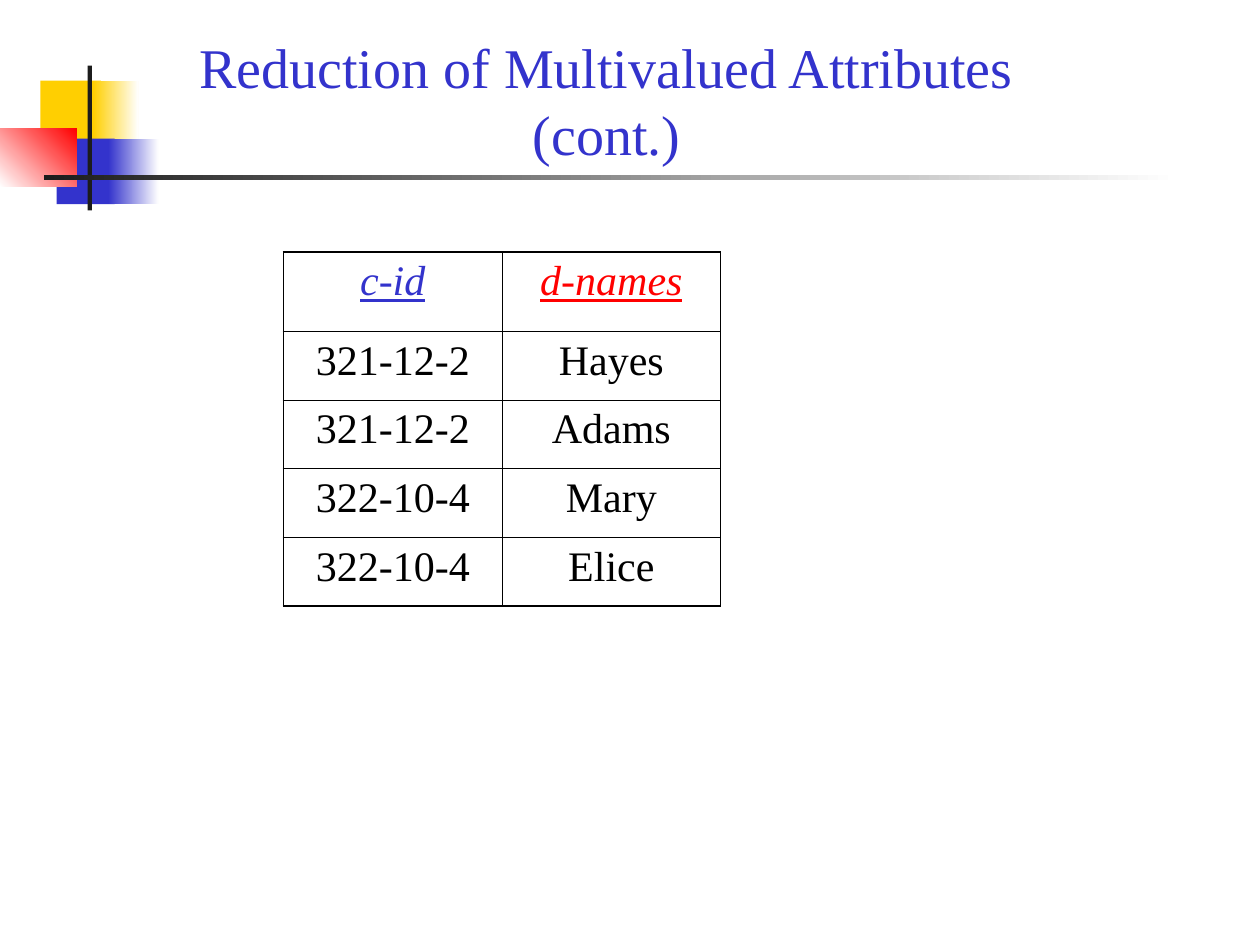
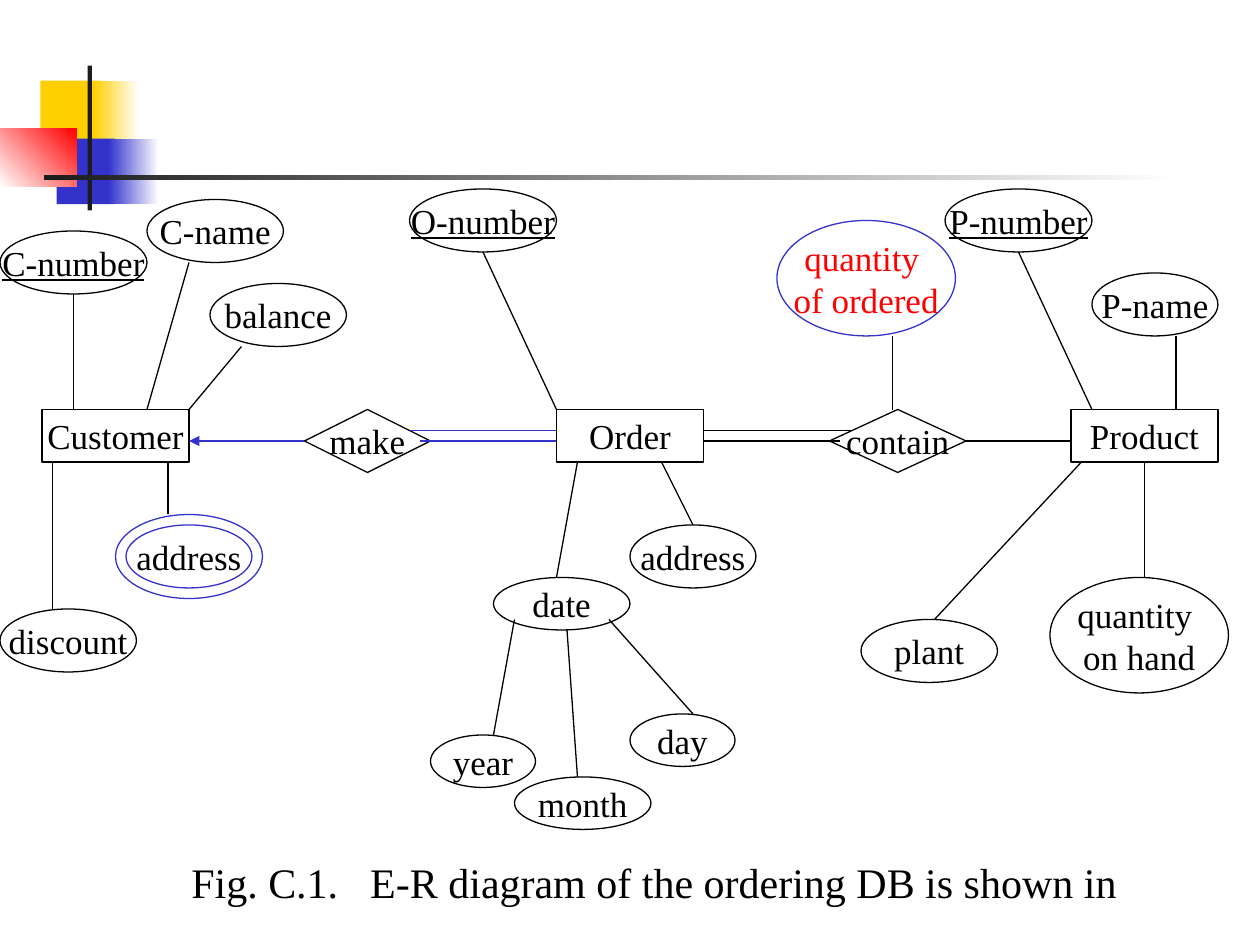
from lxml.etree import SubElement
from pptx import Presentation
from pptx.dml.color import RGBColor
from pptx.enum.shapes import MSO_CONNECTOR, MSO_SHAPE
from pptx.enum.text import MSO_ANCHOR, PP_ALIGN
from pptx.oxml.ns import qn
from pptx.util import Inches, Pt

BLUE = RGBColor(0x33, 0x33, 0xCC)
RED = RGBColor(0xFF, 0x00, 0x00)
GOLD = RGBColor(0xFF, 0xCF, 0x01)
DARK = RGBColor(0x1C, 0x1C, 0x1C)
BLACK = RGBColor(0x00, 0x00, 0x00)
WHITE = RGBColor(0xFF, 0xFF, 0xFF)
FONT = "Times New Roman"

prs = Presentation()
prs.slide_width, prs.slide_height = Inches(10), Inches(7.5)
PART = prs.slide_width // 100  # one percent of the slide width
GRID = prs.slide_width // 120  # diagram grid: 120 columns, 90 rows


def scale(unit, *spans):
    return [round(span * unit) for span in spans]


def write(frame, text, size=20, color=BLACK, align=PP_ALIGN.CENTER,
          wrap=True, italic=False, under=False, tab=None):
    """Fill a text frame, one paragraph per line of text."""
    frame.word_wrap = wrap
    frame.text = text
    for para in frame.paragraphs:
        para.alignment = align
        if tab:
            tabs = SubElement(para._p.get_or_add_pPr(), qn("a:tabLst"))
            SubElement(tabs, qn("a:tab"), pos=str(tab), algn="l")
        for run in para.runs:
            font = run.font
            font.name, font.size, font.color.rgb = FONT, Pt(size), color
            font.italic, font.underline = italic, under


# Shared band: box in percent of the width, start colour, end colour, angle
BAND = [
    ((3.2, 6.4, 4.8, 5.2), GOLD, None, 0),
    ((7.4, 6.4, 3.6, 5.2), GOLD, WHITE, 0),
    ((4.5, 11, 4.6, 5.2), BLUE, None, 0),
    ((8.6, 11, 4, 5.2), BLUE, WHITE, 0),
    ((0, 10.2, 6.1, 4.6), WHITE, RED, 45),
    ((6.95, 5.2, 0.35, 11.5), DARK, None, 0),
    ((3.5, 13.9, 90, 0.35), DARK, WHITE, 0),
]
slides = [prs.slides.add_slide(prs.slide_layouts[6]) for _ in range(2)]
for slide in slides:
    for box, start, end, angle in BAND:
        shape = slide.shapes.add_shape(MSO_SHAPE.RECTANGLE, *scale(PART, *box))
        shape.shadow.inherit = False
        shape.line.fill.background()
        if end is None:
            shape.fill.solid()
            shape.fill.fore_color.rgb = start
        else:
            shape.fill.gradient()
            shape.fill.gradient_angle = angle
            for stop, color in zip(shape.fill.gradient_stops, (start, end)):
                stop.color.rgb = color

# Slide 1: table of multivalued attributes
first, second = slides
ROWS = [
    ("c-id", "d-names"),
    ("321-12-2", "Hayes"),
    ("321-12-2", "Adams"),
    ("322-10-4", "Mary"),
    ("322-10-4", "Elice"),
]
HEAD, TALL = 6.3, 28.1
table = first.shapes.add_table(
    len(ROWS), 2, *scale(PART, 22.5, 20, 34.7, TALL)).table
table.first_row = table.horz_banding = False
last = len(ROWS) - 1
for r, names in enumerate(ROWS):
    high = HEAD if r == 0 else (TALL - HEAD) / last
    table.rows[r].height = round(high * PART)
    for c, name in enumerate(names):
        cell = table.cell(r, c)
        thick = {"L": c == 0, "R": c == 1 and r > 0,
                 "T": r == 0, "B": r == last}
        props = cell._tc.get_or_add_tcPr()
        for side, bold in thick.items():
            edge = SubElement(props, qn(f"a:ln{side}"),
                              w=str(Pt(1.08 if bold else 0.45)))
            fill = SubElement(edge, qn("a:solidFill"))
            SubElement(fill, qn("a:srgbClr"), val=str(BLACK))
        cell.fill.background()
        color = (BLUE, RED)[c] if r == 0 else BLACK
        write(cell.text_frame, name, size=24, color=color,
              italic=r == 0, under=r == 0)

title = first.shapes.add_textbox(*scale(PART, 9, 2.1, 78.3, 11.7))
write(title.text_frame, "Reduction of Multivalued Attributes (cont.)",
      size=32, color=BLUE)

# Slide 2: E-R diagram, all on the grid
BOX, RHOMB, OVAL = MSO_SHAPE.RECTANGLE, MSO_SHAPE.DIAMOND, MSO_SHAPE.OVAL
KEY = {"under": True}
NODES = [
    (BOX, "Customer", (4, 39, 14, 5), BLACK, {}),
    (BOX, "Product", (102, 39, 14, 5), BLACK, {}),
    (BOX, "Order", (53, 39, 14, 5), BLACK, {}),
    (RHOMB, "make", (29, 39, 12, 6), BLACK, {}),
    (RHOMB, "contain", (79, 39, 13, 6), BLACK, {}),
    (OVAL, "C-number", (0, 22, 14, 6), BLACK, KEY),
    (OVAL, "C-name", (14, 19, 13, 6), BLACK, {}),
    (OVAL, "discount", (0, 58, 13, 6), BLACK, {}),
    (OVAL, "balance", (20, 27, 13, 6), BLACK, {}),
    (OVAL, "address", (12, 50, 12, 6), BLUE, {}),
    (OVAL, "", (11, 49, 14, 8), BLUE, {}),
    (OVAL, "address", (60, 50, 12, 6), BLACK, {}),
    (OVAL, "O-number", (39, 18, 14, 6), BLACK, KEY),
    (OVAL, "date", (47, 55, 13, 5), BLACK, {}),
    (OVAL, "year", (41, 70, 10, 5), BLACK, {}),
    (OVAL, "month", (49, 74, 13, 5), BLACK, {}),
    (OVAL, "day", (60, 68, 10, 5), BLACK, {}),
    (OVAL, "quantity \nof ordered", (74, 21, 17, 11), BLUE, {"color": RED}),
    (OVAL, "P-number", (90, 18, 14, 6), BLACK, KEY),
    (OVAL, "P-name", (104, 26, 12, 6), BLACK, {}),
    (OVAL, "plant", (82, 59, 13, 6), BLACK, {}),
    (OVAL, "quantity \non hand", (100, 55, 17, 11), BLACK, {}),
]
for kind, text, box, color, style in NODES:
    node = second.shapes.add_shape(kind, *scale(GRID, *box))
    node.shadow.inherit = False
    node.fill.background()
    node.line.color.rgb, node.line.width = color, Pt(0.75)
    if text:
        node.text_frame.vertical_anchor = MSO_ANCHOR.MIDDLE
        write(node.text_frame, text, wrap=False, **style)

ARROW = (29, 42, 18, 42)
LINKS = {
    BLUE: [ARROW, (53, 41, 39, 41), (53, 42, 40, 42)],
    BLACK: [
        # Customer
        (7, 28, 7, 39), (18, 25, 14, 39), (23, 33, 18, 39),
        (5, 44, 5, 58), (16, 44, 16, 49),
        # Order and its date
        (63, 44, 66, 50), (46, 24, 53, 39), (55, 44, 53, 55),
        (49, 59, 47, 70), (54, 60, 55, 74), (58, 59, 66, 68),
        # contain
        (92, 42, 102, 42), (85, 32, 85, 39),
        (67, 41, 81, 41), (67, 42, 80, 42),
        # Product
        (97, 24, 104, 39), (112, 32, 112, 39),
        (103, 44, 89, 59), (109, 44, 109, 55),
    ],
}
for color, ends in LINKS.items():
    for end in ends:
        link = second.shapes.add_connector(
            MSO_CONNECTOR.STRAIGHT, *scale(GRID, *end))
        link.line.color.rgb, link.line.width = color, Pt(0.75)
        props = link._element.spPr
        if end == ARROW:
            SubElement(props.find(qn("a:ln")), qn("a:tailEnd"), type="triangle")
        SubElement(props, qn("a:effectLst"))

note = second.shapes.add_textbox(*scale(PART, 14.2, 67.5, 75.4, 5))
note.text_frame.margin_right = 0
write(note.text_frame, "Fig. C.1.\tE-R diagram of the ordering DB is shown in",
      size=24, align=PP_ALIGN.LEFT, tab=Inches(1.42))

prs.save("out.pptx")
